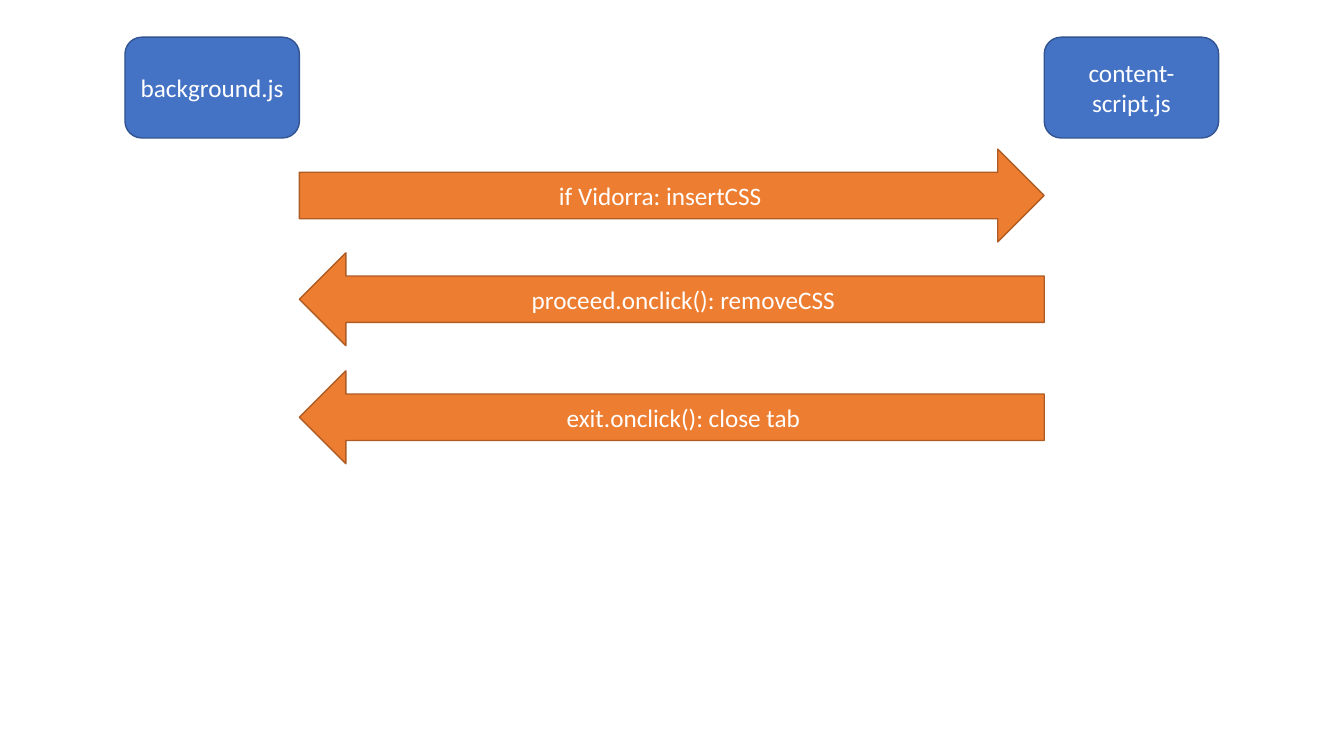
from dataclasses import dataclass

from pptx import Presentation
from pptx.dml.color import RGBColor
from pptx.enum.shapes import MSO_SHAPE as Preset
from pptx.enum.text import MSO_ANCHOR as Anchor, PP_ALIGN as Align
from pptx.slide import Slide
from pptx.util import Pt

WHITE = RGBColor(0xFF, 0xFF, 0xFF)
BLUE = RGBColor(0x44, 0x72, 0xC4)
DARK_BLUE = RGBColor(0x32, 0x54, 0x91)
ORANGE = RGBColor(0xED, 0x7D, 0x31)
DARK_ORANGE = RGBColor(0xAF, 0x5C, 0x24)

# Layout in points: messages span the gap between the two scripts
SCRIPT_TOP, SCRIPT_WIDTH, SCRIPT_HEIGHT = 26.6, 124.6, 72
BACKGROUND_LEFT, CONTENT_LEFT = 89.3, 745.9
MESSAGE_LEFT = BACKGROUND_LEFT + SCRIPT_WIDTH
MESSAGE_WIDTH = CONTENT_LEFT - MESSAGE_LEFT
MESSAGE_HEIGHT = 66.3

FONT_FORMAT = {"name": "Calibri", "size": Pt(18)}


@dataclass
class Style:
    width: float
    height: float
    fill: RGBColor
    line: RGBColor


@dataclass
class Block:
    text: str
    preset: Preset
    left: float
    top: float
    style: Style


SCRIPT = Style(SCRIPT_WIDTH, SCRIPT_HEIGHT, BLUE, DARK_BLUE)
MESSAGE = Style(MESSAGE_WIDTH, MESSAGE_HEIGHT, ORANGE, DARK_ORANGE)

SCRIPTS = [
    Block("background.js", Preset.ROUNDED_RECTANGLE, BACKGROUND_LEFT, SCRIPT_TOP, SCRIPT),
    Block("content-script.js", Preset.ROUNDED_RECTANGLE, CONTENT_LEFT, SCRIPT_TOP, SCRIPT),
]
MESSAGES = [
    Block("if Vidorra: insertCSS", Preset.RIGHT_ARROW, MESSAGE_LEFT, 106.5, MESSAGE),
    Block("proceed.onclick(): removeCSS", Preset.LEFT_ARROW, MESSAGE_LEFT, 180.6, MESSAGE),
    Block("exit.onclick(): close tab", Preset.LEFT_ARROW, MESSAGE_LEFT, 264.9, MESSAGE),
]


def draw_block(page: Slide, block: Block) -> None:
    style = block.style
    shape = page.shapes.add_shape(
        block.preset, Pt(block.left), Pt(block.top), Pt(style.width), Pt(style.height)
    )
    shape.shadow.inherit = False
    shape.fill.solid()
    shape.fill.fore_color.rgb = style.fill
    shape.line.color.rgb = style.line
    shape.line.width = Pt(1)

    # Centred label
    frame = shape.text_frame
    frame.word_wrap = True
    frame.vertical_anchor = Anchor.MIDDLE
    para = frame.paragraphs[0]
    para.alignment = Align.CENTER
    span = para.add_run()
    span.text = block.text
    for name, value in FONT_FORMAT.items():
        setattr(span.font, name, value)
    span.font.color.rgb = WHITE


def main() -> None:
    deck = Presentation()
    deck.slide_width, deck.slide_height = Pt(960), Pt(540)
    page = deck.slides.add_slide(deck.slide_layouts[6])
    for block in SCRIPTS + MESSAGES:
        draw_block(page, block)
    deck.save("out.pptx")


if __name__ == "__main__":
    main()
